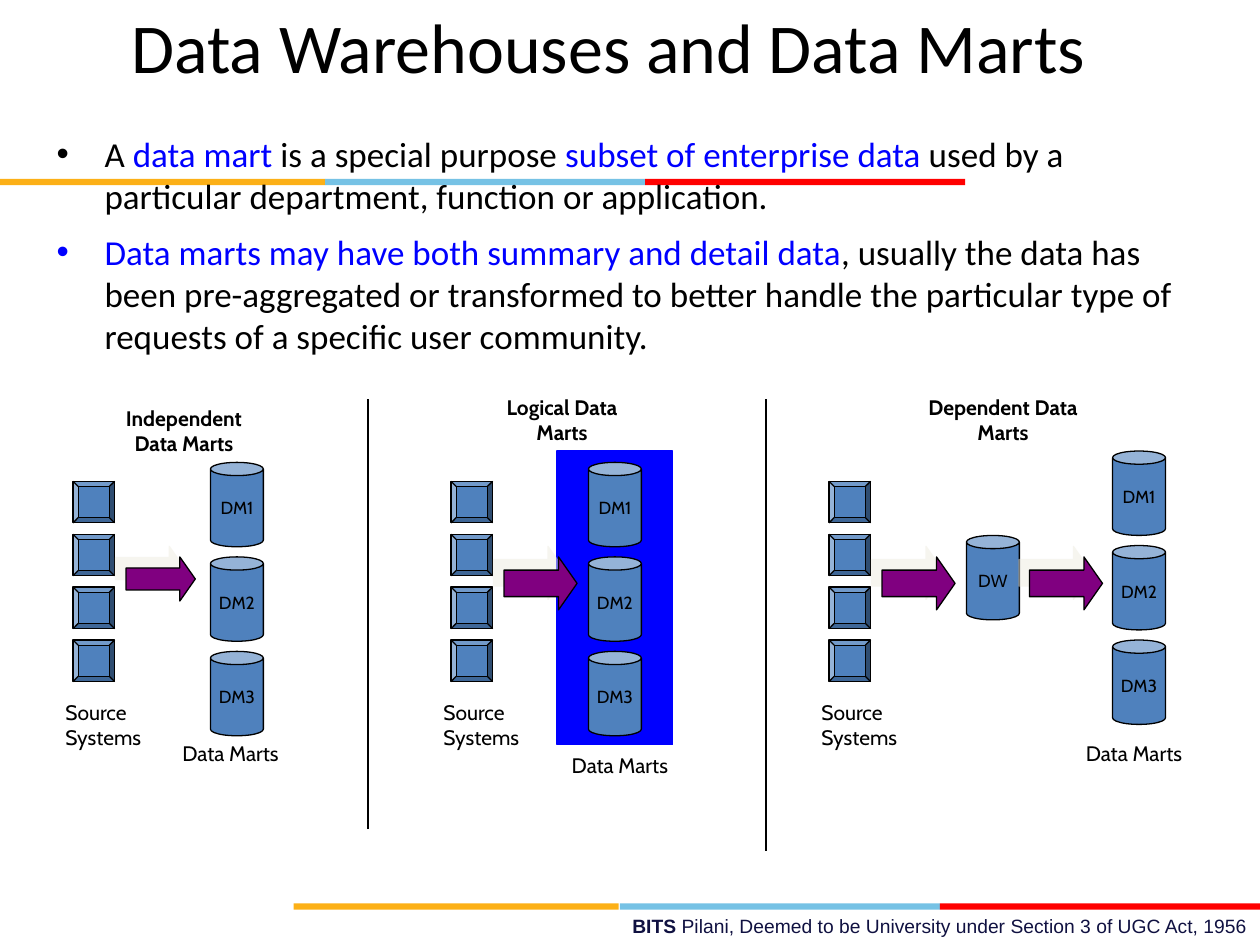
from lxml import etree
from pptx import Presentation
from pptx import util as u
from pptx.dml.color import RGBColor
from pptx.enum import shapes, text
from pptx.oxml.ns import qn

UNIT = 1 / 12
BLACK, BLUE, STEEL, PURPLE = "000000", "0000FF", "4F81BD", "800080"
SHADOW, NAVY = "EEECE1", "101141"
HEADLINE = "Data Warehouses and Data Marts"
POINTS = [
    [("A ", BLACK), ("data mart ", BLUE), ("is a special purpose ", BLACK),
     ("subset of enterprise data ", BLUE),
     ("used by a particular department, function or application.", BLACK)],
    [("Data marts may have both summary and detail data", BLUE),
     (", usually the data has been pre-aggregated or transformed to better handle "
      "the particular type of requests of a specific user community.", BLACK)],
]
FOOTER = [("BITS ", NAVY, True),
          ("Pilani, Deemed to be University under Section 3 of UGC Act, 1956", NAVY, False)]
BAND = [("FCB017", 0, 31), ("76C2E5", 31, 30.5), ("FF0000", 61.5, 30.5)]
BAND_STARTS = [(0, 17), (28, 86)]
PANELS = [
    dict(heading="Independent Data Marts", heading_at=(9, 38), marts_at=(20, 44),
         caption_at=(16, 70), arrow_size=(6.6, 4.2)),
    dict(heading="Logical Data Marts", heading_at=(45, 37), marts_at=(56, 44),
         caption_at=(53, 71), arrow_size=(7, 5)),
    dict(heading="Dependent Data Marts", heading_at=(87, 37), marts_at=(106, 43),
         caption_at=(102, 70), arrow_size=(7, 5)),
]
MARTS = ["DM1", "DM2", "DM3"]
SOURCE_COUNT, SOURCE_LEFT, SOURCE_TOP, PANEL_STEP = 4, 7, 45.8, 36
DIVIDERS = [(35, 79), (73, 81)]


def color(value):
    """Turn a hex string into a colour."""
    return RGBColor.from_string(value)


def box(*cells):
    """Turn grid units into slide lengths."""
    return [u.Inches(round(cell * UNIT, 2)) for cell in cells]


def write(holder, paragraphs, size, font="Cabin", align="LEFT", anchor="TOP",
          wrap=True, bold=False, bullet=False, gap=0):
    """Fill a shape with paragraphs of (text, colour[, bold]) runs."""
    frame = holder.text_frame
    frame.auto_size = text.MSO_AUTO_SIZE.NONE
    frame.word_wrap = wrap
    frame.vertical_anchor = getattr(text.MSO_ANCHOR, anchor)
    for index, runs in enumerate(paragraphs):
        para = frame.paragraphs[0] if index == 0 else frame.add_paragraph()
        para.alignment = getattr(text.PP_ALIGN, align)
        para.space_before = u.Pt(gap if index else 0)
        if bullet:
            props = para._p.get_or_add_pPr()
            props.set("marL", str(u.Inches(0.38)))
            props.set("indent", str(u.Inches(-0.38)))
            tint = etree.SubElement(props, qn("a:buClr"))
            etree.SubElement(tint, qn("a:srgbClr"), val=runs[0][1])
            etree.SubElement(props, qn("a:buFont"), typeface="Arial")
            etree.SubElement(props, qn("a:buChar"), char="•")
        for words, tone, *strong in runs:
            run = para.add_run()
            run.text = words
            run.font.size, run.font.name = u.Pt(size), font
            run.font.color.rgb = color(tone)
            run.font.bold = strong[0] if strong else bold


def draw(slide, kind, cells, fill, line=None, adjust=None):
    """Add a flat preset shape placed on the grid."""
    figure = slide.shapes.add_shape(getattr(shapes.MSO_SHAPE, kind), *box(*cells))
    figure.shadow.inherit = False
    figure.fill.solid()
    figure.fill.fore_color.rgb = color(fill)
    if line:
        figure.line.color.rgb = color(line)
        figure.line.width = u.Pt(0.75)
    else:
        figure.line.fill.background()
    for index, value in enumerate(adjust or []):
        figure.adjustments[index] = value
    return figure


def label(slide, cells, runs, size=12, **style):
    """Add a text box placed on the grid."""
    write(slide.shapes.add_textbox(*box(*cells)), [runs], size, **style)


def arrow(slide, left, size):
    """Add a purple flow arrow with a pale offset shadow."""
    flow = draw(slide, "RIGHT_ARROW", (left, 53, *size), PURPLE, BLACK, [0.5, 0.35])
    effects = flow._element.spPr.find(qn("a:effectLst"))
    cast = etree.SubElement(effects, qn("a:outerShdw"), blurRad="0", dist=str(u.Pt(8.5)),
                            dir=str(225 * 60000), algn="ctr", rotWithShape="0")
    tint = etree.SubElement(cast, qn("a:srgbClr"), val=SHADOW)
    etree.SubElement(tint, qn("a:alpha"), val="50000")


def store(slide, left, top, name):
    """Add a labelled data store."""
    can = draw(slide, "CAN", (left, top, 5, 8), STEEL, BLACK, [0.25])
    write(can, [[(name, BLACK)]], 10, align="CENTER", anchor="MIDDLE", wrap=False)


def panel(slide, index, heading, heading_at, marts_at, caption_at, arrow_size):
    """Add one architecture: sources, arrow, marts and captions."""
    left = SOURCE_LEFT + index * PANEL_STEP
    for row in range(SOURCE_COUNT):
        draw(slide, "BEVEL", (left, SOURCE_TOP + row * 5.05, 4, 4), STEEL, BLACK, [0.125])
    arrow(slide, left + 5, arrow_size)
    label(slide, (*heading_at, 17, 6), [(heading, BLACK)], align="CENTER", bold=True)
    for row, name in enumerate(MARTS):
        store(slide, marts_at[0], marts_at[1] + row * 9, name)
    label(slide, (left - 2, 66, 12, 6), [("Source Systems", BLACK)])
    label(slide, (*caption_at, 12, 6), [("Data Marts", BLACK)], align="CENTER")


def main():
    """Build the slide and save it."""
    deck = Presentation()
    deck.slide_width, deck.slide_height = u.Inches(10), u.Inches(7.5)
    slide = deck.slides.add_slide(deck.slide_layouts[1])
    label(slide, (43, 86.5, 77, 3.5), FOOTER, 11, font="Arial", align="RIGHT")
    for start, top in BAND_STARTS:
        for tone, offset, width in BAND:
            draw(slide, "RECTANGLE", (start + offset, top, width, 0.6), tone)
    draw(slide, "RECTANGLE", (53, 43, 11, 28), BLUE, BLUE)

    headline, points = slide.shapes.title, slide.placeholders[1]
    for holder, cells in ((headline, (4, 1, 108, 6.7)), (points, (4.2, 12, 112, 26))):
        holder.left, holder.top, holder.width, holder.height = box(*cells)
        slide.shapes._spTree.append(holder._element)
    write(headline, [[(HEADLINE, BLACK)]], 40, font="Calibri", align="CENTER", anchor="MIDDLE")
    write(points, POINTS, 20, font="Calibri", bullet=True, gap=8)

    for index, parts in enumerate(PANELS):
        panel(slide, index, **parts)
    store(slide, 92, 51, "DW")
    arrow(slide, 98, (7, 5))
    for left, bottom in DIVIDERS:
        divider = slide.shapes.add_connector(shapes.MSO_CONNECTOR.STRAIGHT,
                                             *box(left, bottom, left, 38))
        divider.line.color.rgb = color(BLACK)
        divider.line.width = u.Pt(0.75)
        etree.SubElement(divider._element.spPr, qn("a:effectLst"))
    deck.save("out.pptx")


if __name__ == "__main__":
    main()
